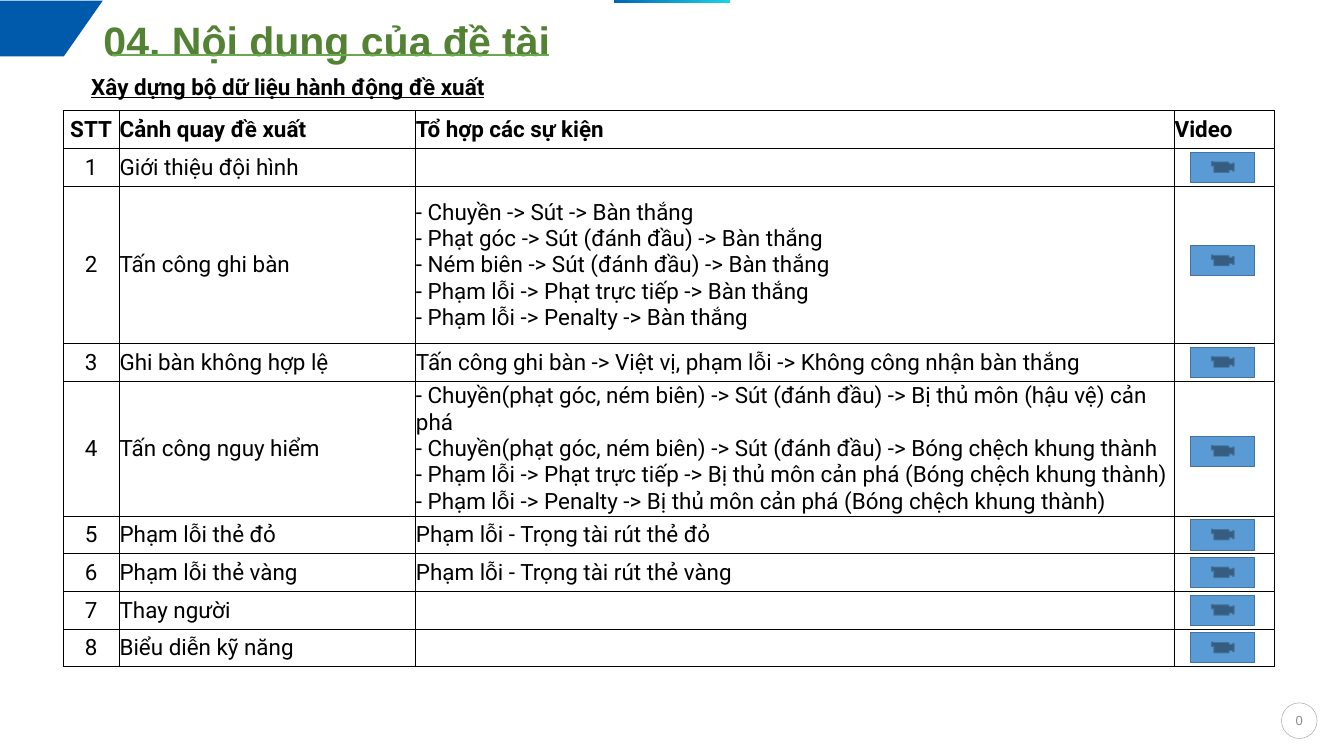
from lxml.etree import SubElement as Sub
from pptx import Presentation
from pptx.dml.color import RGBColor as RGB
from pptx.enum.shapes import MSO_CONNECTOR as Conn, MSO_SHAPE as Kind
from pptx.enum.text import MSO_ANCHOR as Anchor, MSO_AUTO_SIZE as Auto, PP_ALIGN as Align
from pptx.oxml.ns import qn
from pptx.util import Inches as In, Pt

# Content
TITLE = "04. Nội dung của đề tài"
HEAD = "Xây dựng bộ dữ liệu hành động đề xuất"
ROWS = [
    ("STT", "Cảnh quay đề xuất", ["Tổ hợp các sự kiện"], "Video"),
    ("1", "Giới thiệu đội hình", [], ""),
    ("2", "Tấn công ghi bàn", [
        "- Chuyền -> Sút -> Bàn thắng",
        "- Phạt góc -> Sút (đánh đầu) -> Bàn thắng",
        "- Ném biên -> Sút (đánh đầu) -> Bàn thắng",
        "- Phạm lỗi -> Phạt trực tiếp -> Bàn thắng",
        "- Phạm lỗi -> Penalty -> Bàn thắng"], ""),
    ("3", "Ghi bàn không hợp lệ",
     ["Tấn công ghi bàn -> Việt vị, phạm lỗi -> Không công nhận bàn thắng"], ""),
    ("4", "Tấn công nguy hiểm", [
        "- Chuyền(phạt góc, ném biên) -> Sút (đánh đầu) -> Bị thủ môn (hậu vệ) cản phá",
        "- Chuyền(phạt góc, ném biên) -> Sút (đánh đầu) -> Bóng chệch khung thành",
        "- Phạm lỗi -> Phạt trực tiếp -> Bị thủ môn cản phá (Bóng chệch khung thành)",
        "- Phạm lỗi -> Penalty -> Bị thủ môn cản phá (Bóng chệch khung thành)"], ""),
    ("5", "Phạm lỗi thẻ đỏ", ["Phạm lỗi - Trọng tài rút thẻ đỏ"], ""),
    ("6", "Phạm lỗi thẻ vàng", ["Phạm lỗi - Trọng tài rút thẻ vàng"], ""),
    ("7", "Thay người", [], ""),
    ("8", "Biểu diễn kỹ năng", [], ""),
]
INK = dict(black="000000", title="548235", rule="6AA84F", flag="005AAB", bar="0166B4",
           cyan="1CD4E4", ring="A6A6A6", page="8C8C8C", button="5B9BD5", edge="43739E")

# Grid
WIDE, HIGH = 20, 11.25
LEFT, TOP = 0.94, 1.65
COLS = [0.83, 4.41, 11.29, 1.49]
BASE = 0.56
TALL = {2: 2.34, 4: 2.01}
NUDGE = {2: -0.06, 4: 0.04}
BTN_W, BTN_H = 0.95, 0.45

deck = Presentation()
deck.slide_width, deck.slide_height = In(WIDE), In(HIGH)
page = deck.slides.add_slide(deck.slide_layouts[5])
shapes = page.shapes


def color(name):
    return RGB.from_string(INK[name])


def write(frame, text, size=24, font="Roboto", ink="black", bold=False,
          under=False, align=Align.LEFT, space=None):
    frame.word_wrap = True
    par = frame.paragraphs[0]
    par.text = text
    par.alignment, par.line_spacing = align, space
    for face in [par.font] + [run.font for run in par.runs]:
        face.size, face.name = Pt(size), font
        face.bold, face.underline = bold, under
        face.color.rgb = color(ink)


def paint(shape, fill=None, line=None, width=1):
    shape.shadow.inherit = False
    if fill:
        shape.fill.solid()
        shape.fill.fore_color.rgb = color(fill)
    else:
        shape.fill.background()
    if line:
        shape.line.color.rgb = color(line)
        shape.line.width = Pt(width)
    else:
        shape.line.fill.background()


def draw(kind, x, y, w, h, **look):
    shape = shapes.add_shape(kind, In(x), In(y), In(w), In(h))
    paint(shape, **look)
    return shape


def border(cell):
    props = cell._tc.get_or_add_tcPr()
    for spot, side in enumerate(("lnL", "lnR", "lnT", "lnB")):
        line = props.makeelement(qn("a:" + side), {"w": str(Pt(1))})
        fill = Sub(line, qn("a:solidFill"))
        Sub(fill, qn("a:srgbClr"), val=INK["black"])
        props.insert(spot, line)


# Title
title = shapes.title
title.left, title.top, title.width, title.height = In(1.4), In(0.05), In(17.26), In(0.83)
frame = title.text_frame
frame.auto_size, frame.vertical_anchor = Auto.NONE, Anchor.MIDDLE
frame.margin_left = frame.margin_right = In(0.14)
frame.margin_top = frame.margin_bottom = In(0.07)
write(frame, TITLE, size=44, font="Arial", ink="title", bold=True, space=1.35)

# Corner flag and top bar
pen = shapes.build_freeform(In(0), In(0.01), scale=1.0)
pen.add_line_segments([(In(x), In(y)) for x, y in [(1.53, 0.01), (0.95, 0.84), (0, 0.84)]])
paint(pen.convert_to_shape(), fill="flag")
bar = draw(Kind.RECTANGLE, 9.14, 0, 1.73, 0.05)
bar.fill.gradient()
bar.fill.gradient_angle = 0
for stop, name in zip(bar.fill.gradient_stops, ("bar", "cyan")):
    stop.color.rgb = color(name)

# Page number
draw(Kind.OVAL, 19.07, 10.46, 0.53, 0.53, line="ring", width=0.5)
box = shapes.add_textbox(In(19.07), In(10.56), In(0.53), In(0.34))
write(box.text_frame, "0", size=14, font="Arial", ink="page", align=Align.CENTER)

# Heading and rule
box = shapes.add_textbox(In(1.26), In(0.92), In(17.4), In(0.58))
write(box.text_frame, HEAD, bold=True, under=True, space=1.3)
rule = shapes.add_connector(Conn.STRAIGHT, In(1.66), In(0.82), In(8.17), In(0.82))
rule.line.color.rgb = color("rule")
rule.line.width = Pt(3)
Sub(rule._element.spPr, qn("a:effectLst"))

# Table
highs = [TALL.get(r, BASE) for r in range(len(ROWS))]
table = shapes.add_table(len(ROWS), len(COLS), In(LEFT), In(TOP),
                         In(sum(COLS)), In(sum(highs))).table
table.first_row = table.horz_banding = False
for col, wide in zip(table.columns, COLS):
    col.width = In(wide)
for r, (row, high) in enumerate(zip(ROWS, highs)):
    table.rows[r].height = In(high)
    for c, text in enumerate(row):
        cell = table.cell(r, c)
        cell.fill.background()
        cell.vertical_anchor = Anchor.MIDDLE
        cell.margin_left = cell.margin_right = cell.margin_top = In(0.01)
        cell.margin_bottom = 0
        write(cell.text_frame, "\v".join(text) if c == 2 else text, bold=r == 0,
              align=Align.LEFT if c else Align.CENTER)
        border(cell)

# Video buttons, one per scene
for r in range(1, len(ROWS)):
    mid = TOP + sum(highs[:r]) + highs[r] / 2 + NUDGE.get(r, 0)
    draw(Kind.ACTION_BUTTON_MOVIE, 17.72, mid - BTN_H / 2, BTN_W, BTN_H,
         fill="button", line="edge")

deck.save("out.pptx")
